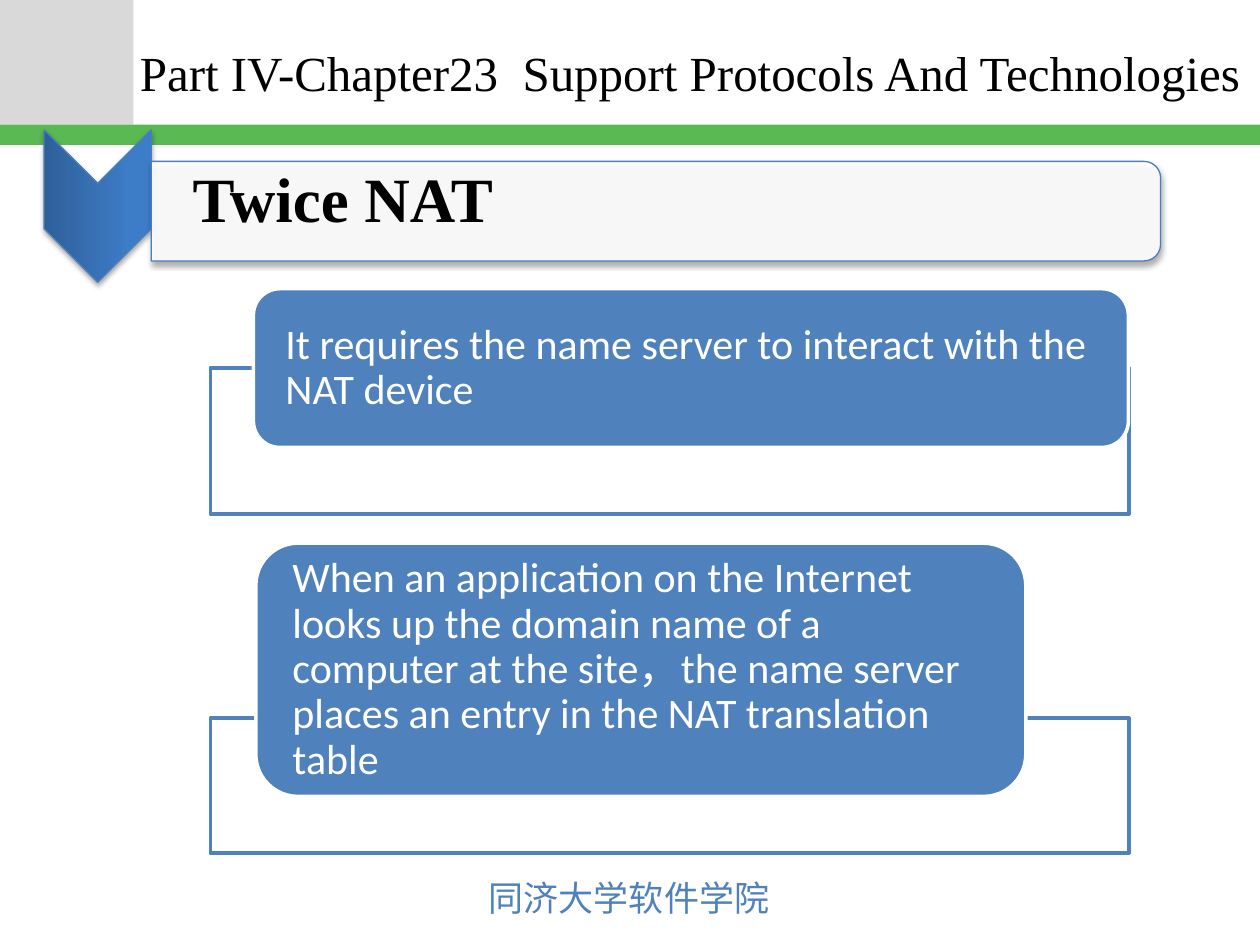
from lxml import etree
from pptx import Presentation
from pptx.dml import color
from pptx.enum import shapes, text
from pptx.oxml import ns
from pptx.util import Pt

COLORS = {
    "black": "000000", "white": "FFFFFF", "corner": "D9D9D9", "band": "5AB953",
    "blue": "4F81BD", "edge": "4B7EBC", "dark": "2F5F99", "light": "3D7CC7",
}
SHAPE = shapes.MSO_SHAPE


def rgb(name):
    return color.RGBColor.from_string(COLORS[name])


def add_block(page, kind, box, fill=None, line=None, width=2):
    block = page.shapes.add_shape(kind, *map(Pt, box))
    block.shadow.inherit = False
    if fill:
        block.fill.solid()
        block.fill.fore_color.rgb = rgb(fill)
    if line:
        block.line.color.rgb = rgb(line)
        block.line.width = Pt(width)
    else:
        block.line.fill.background()
    return block


def add_turned_block(page, kind, box, **style):
    """Place a shape turned by 90 degrees so that it covers the box as seen."""
    left, top, width, height = box
    shift = (width - height) / 2
    block = add_block(page, kind, (left + shift, top - shift, height, width), **style)
    block.rotation = 90
    return block


def set_alpha(parent, percent):
    for tone in parent.iter(ns.qn("a:srgbClr")):
        etree.SubElement(tone, ns.qn("a:alpha"), val=str(percent * 1000))


def make_translucent(block):
    set_alpha(block._element.spPr.find(ns.qn("a:solidFill")), 90)


def add_shadow(block):
    effects = block._element.spPr.find(ns.qn("a:effectLst"))
    shadow = etree.SubElement(
        effects, ns.qn("a:outerShdw"), blurRad=str(Pt(3.1)), dist=str(Pt(1.8)),
        dir="5400000", rotWithShape="0")
    etree.SubElement(shadow, ns.qn("a:srgbClr"), val=COLORS["black"])
    set_alpha(shadow, 35)


def write(shape, words, size, font, tone, margins, bold=False, wrap=True):
    frame = shape.text_frame
    frame.word_wrap = wrap
    frame.auto_size = text.MSO_AUTO_SIZE.NONE
    frame.vertical_anchor = text.MSO_ANCHOR.MIDDLE
    (frame.margin_left, frame.margin_top,
     frame.margin_right, frame.margin_bottom) = map(Pt, margins)
    para = frame.paragraphs[0]
    para.text = words
    para.alignment = text.PP_ALIGN.LEFT
    para.font.size = Pt(size)
    para.font.name = font
    para.font.bold = bold
    para.font.color.rgb = rgb(tone)
    return para


def add_header(page, box):
    left, top, width, height = box
    band = 11.5
    add_block(page, SHAPE.RECTANGLE, (left, top, 76.3, height - band), "corner")
    add_block(page, SHAPE.RECTANGLE, (left, top + height - band, width, band), "band")
    title = page.shapes.title
    title.left, title.top = Pt(left + 72.7), Pt(top + 5.8)
    title.width, title.height = Pt(676), Pt(70.6)
    write(title, "Part IV-Chapter23  Support Protocols And Technologies",
          28, "Times New Roman", "black", (7.2, 3.6, 7.2, 3.6))


def add_topic(page, box, words):
    """Chevron with a heading panel to its right."""
    left, top, width, height = box
    arrow = 61.2
    chevron = add_turned_block(page, SHAPE.CHEVRON, (left, top, arrow, height),
                               line="edge", width=0.75)
    chevron.fill.gradient()
    chevron.fill.gradient_angle = 90
    start, end = chevron.fill.gradient_stops
    start.color.rgb, start.position = rgb("dark"), 0
    end.color.rgb, end.position = rgb("light"), 0.8
    add_shadow(chevron)

    panel = add_turned_block(
        page, SHAPE.ROUND_2_SAME_RECTANGLE,
        (left + arrow, top + 18, width - arrow, 56.9),
        fill="white", line="edge", width=0.75)
    make_translucent(panel)
    add_shadow(panel)
    label = page.shapes.add_textbox(
        Pt(left + 66.9), Pt(top + 13), Pt(574.6), Pt(51.1))
    write(label, words, 36, "Times New Roman", "black", (18, 1.4, 1.4, 1.4), bold=True)


def add_point(page, frame_box, card_box, words):
    frame = add_block(page, SHAPE.RECTANGLE, frame_box, "white", "blue")
    make_translucent(frame)
    card = add_block(page, SHAPE.ROUNDED_RECTANGLE, card_box, "blue", "white")
    para = write(card, words, 24, "Calibri", "white", (13.9, 0, 13.9, 0))
    para.line_spacing = 0.9


def add_footer(page, box, words):
    font = "Noto Sans CJK JP"
    label = page.shapes.add_textbox(*map(Pt, box))
    para = write(label, words, 20, font, "blue", (7.2, 3.6, 7.2, 3.6), wrap=False)
    span = para.runs[0].font._element
    etree.SubElement(span, ns.qn("a:ea"), typeface=font)


def main():
    deck = Presentation()
    deck.slide_width, deck.slide_height = Pt(720), Pt(540)
    page = deck.slides.add_slide(deck.slide_layouts[5])
    add_header(page, (0, 0, 720, 82.8))
    add_footer(page, (272.2, 496.8, 176.4, 31.7), "同济大学软件学院")
    add_topic(page, (25.2, 74.2, 638, 87.1), "Twice NAT")
    add_point(page, (120.2, 210.2, 525, 83.5), (144.8, 165, 500, 90.7),
              "It requires the name server to interact with the NAT device")
    add_point(page, (120.2, 410.4, 525, 77), (146.2, 310.4, 440, 144.7),
              "When an application on the Internet looks up the domain name of a "
              "computer at the site，the name server places an entry in the NAT "
              "translation table")
    deck.save("out.pptx")


if __name__ == "__main__":
    main()
